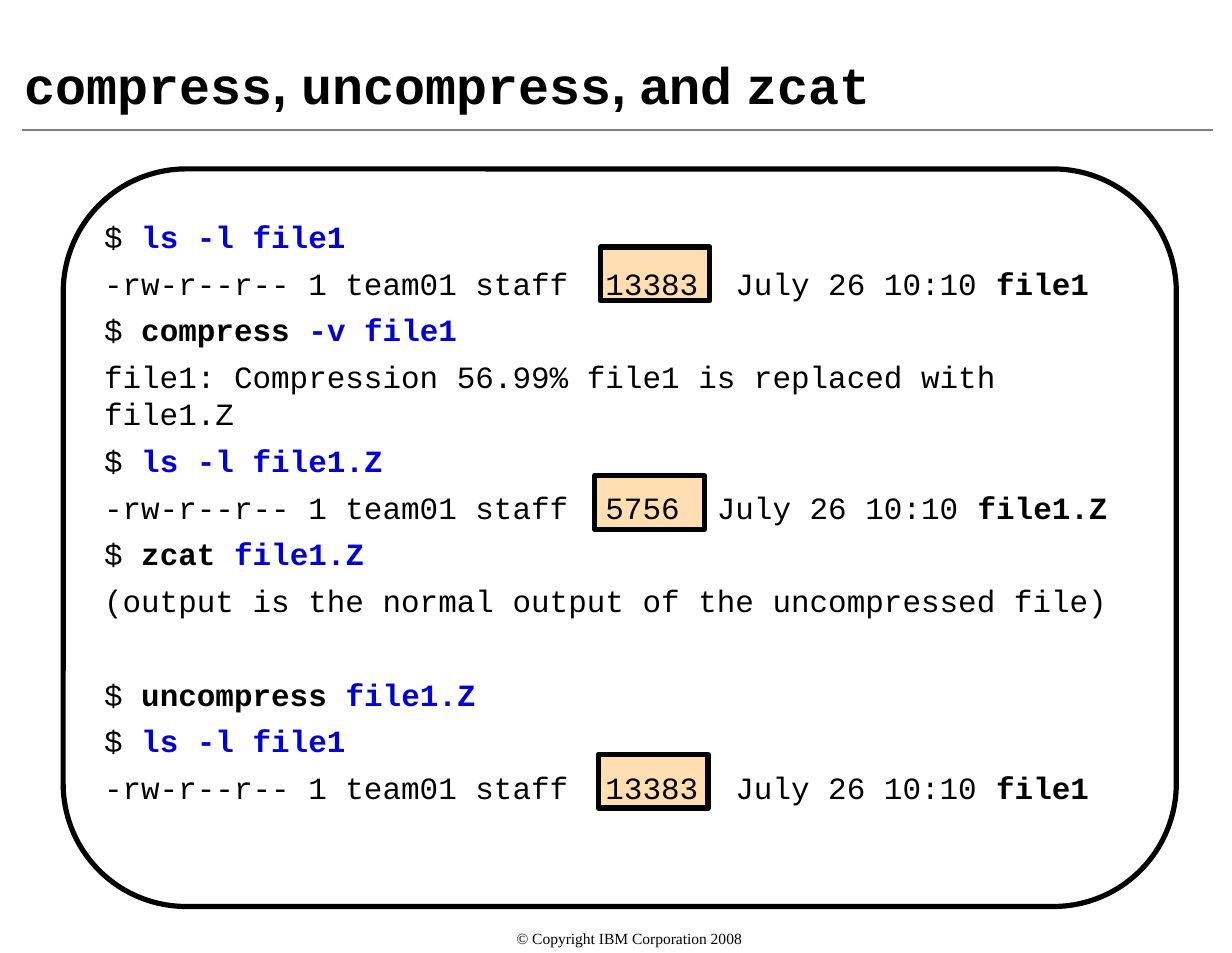
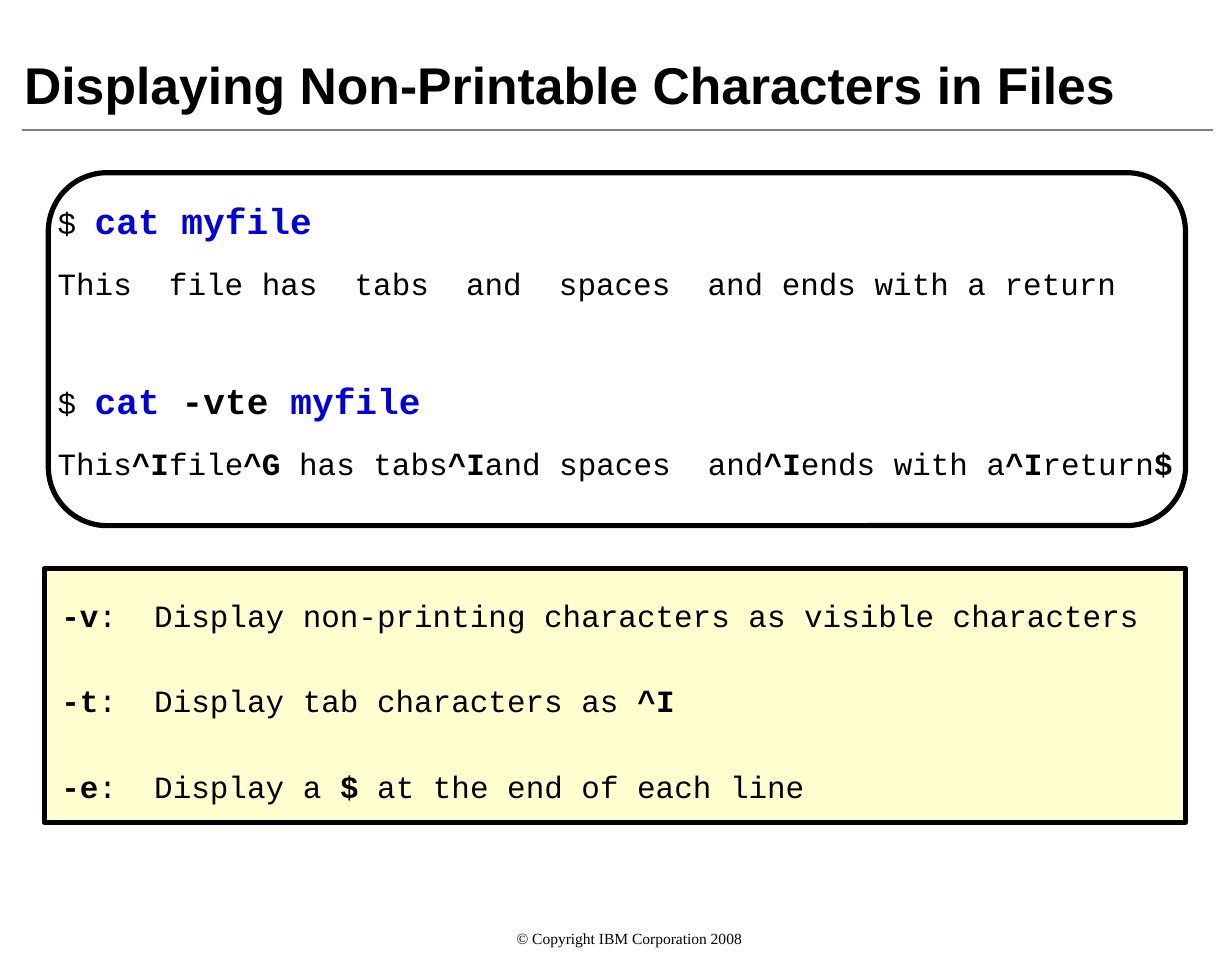
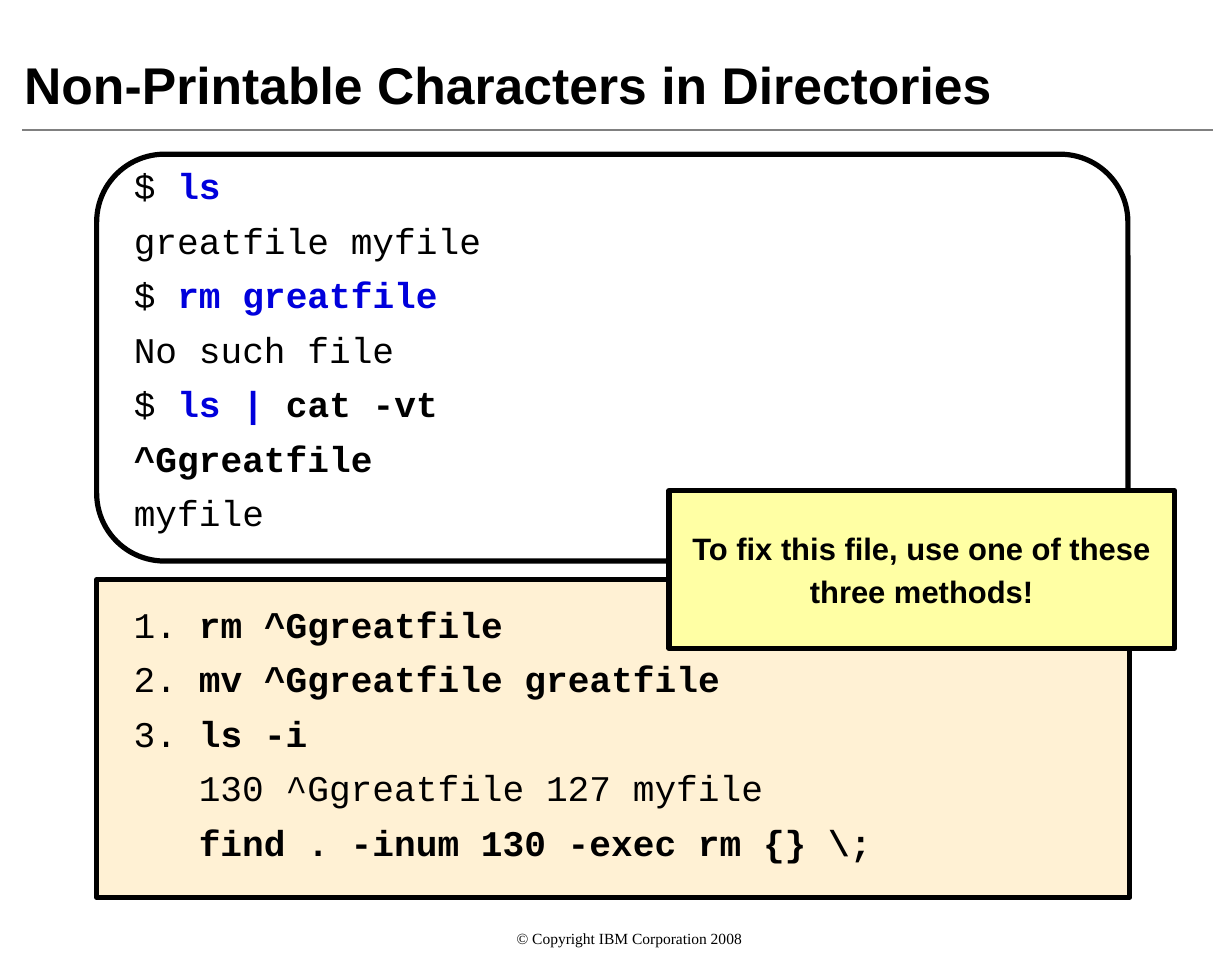
import pptx
import pptx.util
import pptx.dml.color
import pptx.enum.shapes
import pptx.enum.text
import pptx.oxml
import pptx.oxml.ns

Inches = pptx.util.Inches
Pt = pptx.util.Pt
RGBColor = pptx.dml.color.RGBColor
SHAPE = pptx.enum.shapes.MSO_SHAPE
ALIGN = pptx.enum.text.PP_ALIGN
ANCHOR = pptx.enum.text.MSO_ANCHOR

BLACK = RGBColor(0x00, 0x00, 0x00)
BLUE = RGBColor(0x00, 0x00, 0xDC)
GRAY = RGBColor(0x80, 0x80, 0x80)
AMBER = RGBColor(0xFF, 0xDE, 0xB1)
PEACH = RGBColor(0xFF, 0xF1, 0xD4)
CREAM = RGBColor(0xFF, 0xFF, 0xD0)
YELLOW = RGBColor(0xFF, 0xFF, 0xA4)

MONO = {"name": "Courier New", "bold": False}
BOLD = {"name": "Courier New", "bold": True}
SANS = {"name": "Arial", "bold": True}
SERIF = {"name": "Times New Roman", "bold": False}
CMD = {**BOLD, "color": BLUE}
BIG = {**BOLD, "size": 14}
BIG_CMD = {**CMD, "size": 14}
PROMPT = ("$ ", MONO)


class Deck:
    line_height = 1.2

    def __init__(self):
        self.prs = pptx.Presentation()
        self.prs.slide_width = Inches(6.63)
        self.prs.slide_height = Inches(5.13)
        self.s = None

    def place(self, sp, box):
        for name, value in zip(("left", "top", "width", "height"), box):
            setattr(sp, name, Inches(value))

    def frame(self, sp, margins, anchor=ANCHOR.TOP):
        tf = sp.text_frame
        left, top, right, bottom = (Inches(m) for m in margins)
        settings = {"word_wrap": True, "auto_size": pptx.enum.text.MSO_AUTO_SIZE.NONE,
                    "vertical_anchor": anchor, "margin_left": left, "margin_top": top,
                    "margin_right": right, "margin_bottom": bottom}
        for name, value in settings.items():
            setattr(tf, name, value)
        return tf

    def runs(self, p, runs, size):
        for text, style in runs:
            r = p.add_run()
            r.text = text
            look = {"size": size, "color": BLACK, **style}
            r.font.color.rgb = look.pop("color")
            look["size"] = Pt(look["size"])
            for name, value in look.items():
                setattr(r.font, name, value)

    def lines(self, tf, lines, size, after, gaps=(), align=ALIGN.LEFT, tab=None):
        for i, runs in enumerate(lines):
            p = tf.paragraphs[0] if i == 0 else tf.add_paragraph()
            tallest = max(style.get("size", size) for _, style in runs)
            blank = (self.line_height + after) * size if i in gaps else 0
            settings = {"alignment": align, "line_spacing": Pt(self.line_height * tallest),
                        "space_before": Pt(blank), "space_after": Pt(after * tallest)}
            for name, value in settings.items():
                setattr(p, name, value)
            pPr = p._p.get_or_add_pPr()
            pPr.set("marL", "0")
            pPr.set("indent", "0")
            ns = pptx.oxml.ns.nsdecls("a")
            pPr.append(pptx.oxml.parse_xml(f"<a:buNone {ns}/>"))
            if tab:
                pPr.append(pptx.oxml.parse_xml(
                    f'<a:tabLst {ns}><a:tab pos="{Inches(tab)}" algn="l"/></a:tabLst>'))
            self.runs(p, runs, size)

    def slide(self, title, body=True):
        self.s = self.prs.slides.add_slide(self.prs.slide_layouts[1 if body else 5])
        sp = self.s.shapes.title
        self.place(sp, (0.06, 0.06, 6.49, 0.59))
        p = self.frame(sp, (0.07, 0.03, 0.07, 0.03), ANCHOR.BOTTOM).paragraphs[0]
        p.alignment = ALIGN.LEFT
        self.runs(p, title, 20)
        self.rule()
        self.footer()

    def rule(self):
        line = self.s.shapes.add_connector(
            pptx.enum.shapes.MSO_CONNECTOR.STRAIGHT,
            Inches(0.12), Inches(0.7), Inches(6.53), Inches(0.7))
        line.line.color.rgb = GRAY
        line.line.width = Pt(1)
        line._element.spPr.append(
            pptx.oxml.parse_xml(f'<a:effectLst {pptx.oxml.ns.nsdecls("a")}/>'))

    def footer(self):
        sp = self.s.shapes.add_textbox(0, Inches(5), Inches(6.63), Inches(0.13))
        p = self.frame(sp, (0.24, 0, 0.1, 0)).paragraphs[0]
        p.alignment = ALIGN.CENTER
        self.runs(p, [("© Copyright IBM Corporation 2008", SERIF)], 6)

    def panel(self, box, fill=None, shape=SHAPE.RECTANGLE):
        sp = self.s.shapes.add_shape(shape, *(Inches(v) for v in box))
        sp.shadow.inherit = False
        if fill is None:
            sp.fill.background()
        else:
            sp.fill.solid()
            sp.fill.fore_color.rgb = fill
        sp.line.color.rgb = BLACK
        sp.line.width = Pt(2)
        return sp

    def text_panel(self, box, fill, margins, lines, size, after, anchor=ANCHOR.TOP, **options):
        tf = self.frame(self.panel(box, fill), margins, anchor)
        self.lines(tf, lines, size, after, **options)

    def transcript(self, box, outline, lines, size, after, gaps=()):
        sp = self.s.placeholders[1]
        self.place(sp, box)
        self.s.shapes._spTree.append(sp._element)
        self.lines(self.frame(sp, (0, 0, 0, 0)), lines, size, after, gaps)
        self.panel(outline, shape=SHAPE.ROUNDED_RECTANGLE)


def listing(size, name):
    return [(f"-rw-r--r-- 1 team01 staff  {size}  July 26 10:10 ", MONO), (name, BOLD)]


def compress_slide(deck):
    deck.slide([("compress", BOLD), (", ", SANS), ("uncompress", BOLD),
                (", and ", SANS), ("zcat", BOLD)])
    for left, top in ((3.23, 1.33), (3.2, 2.56), (3.22, 4.06)):
        deck.panel((left, top, 0.59, 0.29), AMBER)
    list_file = [PROMPT, ("ls -l file1", CMD)]
    deck.transcript((0.56, 1.17, 5.51, 3.17), (0.34, 0.91, 5.99, 3.97), [
        list_file,
        listing(13383, "file1"),
        [PROMPT, ("compress ", BOLD), ("-v file1", CMD)],
        [("file1: Compression 56.99% file1 is replaced with file1.Z", MONO)],
        [PROMPT, ("ls -l file1.Z", CMD)],
        listing(5756, "file1.Z"),
        [PROMPT, ("zcat ", BOLD), ("file1.Z", CMD)],
        [("(output is the normal output of the uncompressed file)", MONO)],
        [PROMPT, ("uncompress ", BOLD), ("file1.Z", CMD)],
        list_file,
        listing(13383, "file1"),
    ], 12, 0.31, gaps=(8,))


def files_slide(deck):
    deck.slide([("Displaying Non-Printable Characters in Files", SANS)])
    deck.text_panel((0.24, 3.06, 6.14, 1.37), CREAM, (0.09, 0.15, 0.05, 0), [
        [("-v", BOLD), (":\tDisplay non-printing characters as visible characters", MONO)],
        [("-t", BOLD), (":\tDisplay tab characters as ", MONO), ("^I", BOLD)],
        [("-e", BOLD), (":\tDisplay a ", MONO), ("$ ", BOLD), ("at the end of each line", MONO)],
    ], 12, 0.18, gaps=(1, 2), tab=0.5)
    deck.transcript((0.31, 1.07, 6.21, 1.52), (0.26, 0.93, 6.12, 1.9), [
        [PROMPT, ("cat myfile", BIG_CMD)],
        [("This  file has  tabs  and  spaces  and ends with a return", MONO)],
        [PROMPT, ("cat ", BIG_CMD), ("-vte ", BIG), ("myfile", BIG_CMD)],
        [("This", MONO), ("^I", BOLD), ("file", MONO), ("^G", BOLD), (" has tabs", MONO),
         ("^I", BOLD), ("and spaces  and", MONO), ("^I", BOLD), ("ends with a", MONO),
         ("^I", BOLD), ("return", MONO), ("$", BOLD)],
    ], 12, 0.63, gaps=(2,))


def directories_slide(deck):
    deck.slide([("Non-Printable Characters in Directories", SANS)])
    deck.text_panel((0.52, 3.12, 5.56, 1.71), PEACH, (0.2, 0.12, 0, 0), [
        [("1. ", MONO), ("rm ^Ggreatfile", BOLD)],
        [("2. ", MONO), ("mv ^Ggreatfile greatfile", BOLD)],
        [("3. ", MONO), ("ls -i", BOLD)],
        [("   130 ^Ggreatfile 127 myfile", MONO)],
        [("   find . -inum 130 -exec rm {} \\;", BOLD)],
    ], 14, 0.31)
    deck.transcript((0.72, 0.88, 5.35, 2.1), (0.52, 0.83, 5.55, 2.19), [
        [PROMPT, ("ls", CMD)],
        [("greatfile myfile", MONO)],
        [PROMPT, ("rm greatfile", CMD)],
        [("No such file", MONO)],
        [PROMPT, ("ls | ", CMD), ("cat -vt", BOLD)],
        [("^Ggreatfile", BOLD)],
        [("myfile", MONO)],
    ], 14, 0.31)
    deck.text_panel((3.6, 2.64, 2.72, 0.85), YELLOW, (0, 0, 0, 0), [
        [("To fix this file, use one of these", SANS)],
        [("three methods!", SANS)],
    ], 12, 0.18, anchor=ANCHOR.MIDDLE, align=ALIGN.CENTER)


def main():
    deck = Deck()
    for build in (compress_slide, files_slide, directories_slide):
        build(deck)
    deck.prs.save("out.pptx")


if __name__ == "__main__":
    main()
